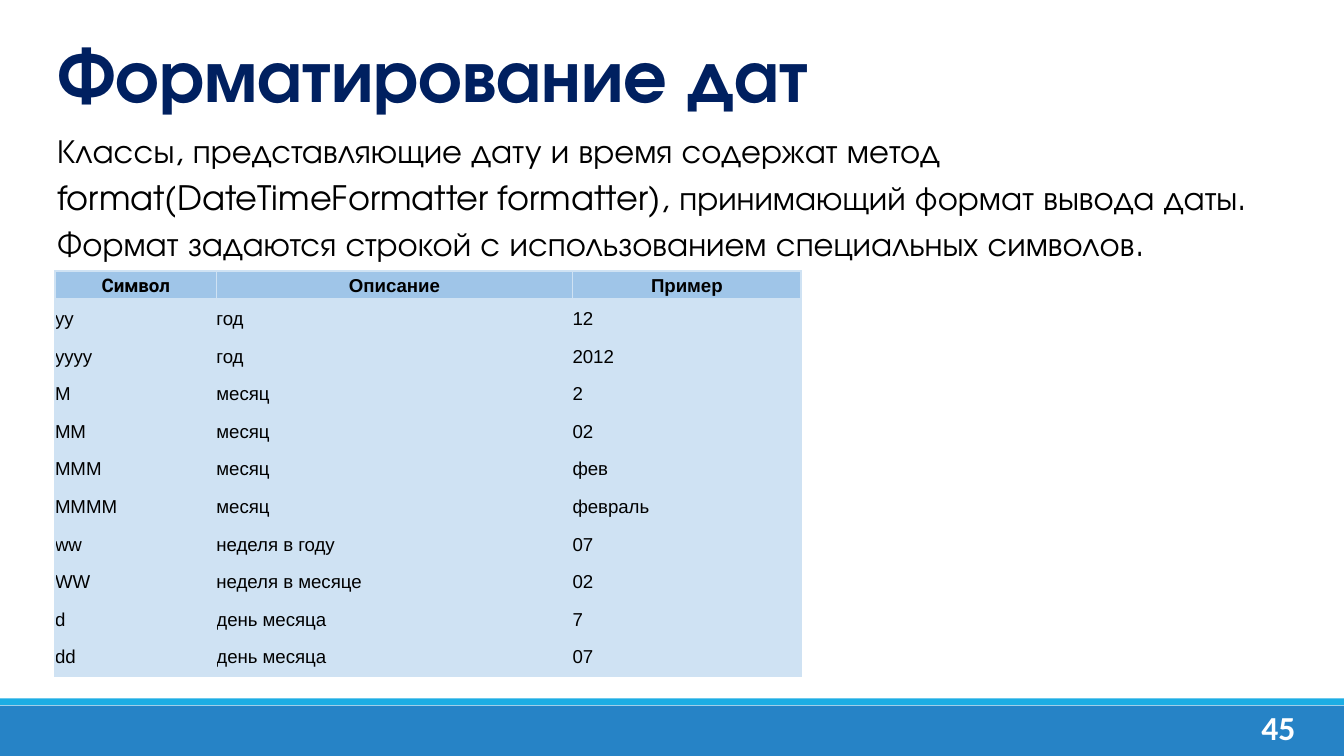
from dataclasses import dataclass

import lxml.etree
import pptx
import pptx.dml.color
import pptx.enum.shapes
import pptx.enum.text
import pptx.oxml.ns
import pptx.util
from pptx.util import Cm

COLORS = {
    "footer": "2683C6",
    "stripe": "1CADE4",
    "title": "002060",
    "text": "000000",
    "page_number": "FFFFFF",
    "header": "9FC5E8",
    "body": "CFE2F3",
}
LEFT = pptx.enum.text.PP_ALIGN.LEFT
CENTER = pptx.enum.text.PP_ALIGN.CENTER
TOP = pptx.enum.text.MSO_ANCHOR.TOP
MIDDLE = pptx.enum.text.MSO_ANCHOR.MIDDLE

COLUMN_WIDTHS = [3.05, 6.73, 4.32]
HEADER_HEIGHT, ROW_HEIGHT = 0.56, 0.71
HEADINGS = ("Символ", "Описание", "Пример")
FORMAT_SYMBOLS = [
    ("yy", "год", "12"),
    ("yyyy", "год", "2012"),
    ("M", "месяц", "2"),
    ("MM", "месяц", "02"),
    ("MMM", "месяц", "фев"),
    ("MMMM", "месяц", "февраль"),
    ("ww", "неделя в году", "07"),
    ("WW", "неделя в месяце", "02"),
    ("d", "день месяца", "7"),
    ("dd", "день месяца", "07"),
]


@dataclass
class Bar:
    top: float
    height: float
    color: str


@dataclass
class TextStyle:
    font: str
    size: float
    color: str = "text"
    bold: bool = False
    alignment: pptx.enum.text.PP_ALIGN = LEFT


@dataclass
class TextBlock:
    text: str
    left: float
    top: float
    width: float
    height: float
    style: TextStyle
    anchor: pptx.enum.text.MSO_ANCHOR = TOP
    vertical_inset: float = 0.13
    line_spacing: float = 1.0
    space_before: float = 0


BARS = [Bar(13.34, 0.95, "footer"), Bar(13.2, 0.13, "stripe")]
TEXT_BLOCKS = [
    TextBlock(
        "Классы, представляющие дату и время содержат метод "
        "format(DateTimeFormatter formatter), принимающий формат вывода даты. "
        "Формат задаются строкой с использованием специальных символов.",
        0.83, 2.1, 24.4, 3.05, TextStyle("TeX Gyre Adventor", 18),
        vertical_inset=0.25, line_spacing=1.15, space_before=7,
    ),
    TextBlock("45", 23.55, 13.23, 1.22, 0.76,
              TextStyle("Calibri", 18, "page_number", True, CENTER)),
    TextBlock("Форматирование дат", 0.83, 0.33, 22.86, 2.08,
              TextStyle("TeX Gyre Adventor", 40, "title", True), anchor=MIDDLE),
]


def rgb(name: str) -> pptx.dml.color.RGBColor:
    return pptx.dml.color.RGBColor.from_string(COLORS[name])


def format_paragraph(paragraph, style: TextStyle) -> None:
    paragraph.alignment = style.alignment
    for run in paragraph.runs:
        run.font.name = style.font
        run.font.size = pptx.util.Pt(style.size)
        run.font.bold = style.bold
        run.font.color.rgb = rgb(style.color)


def add_bar(slide, bar: Bar) -> None:
    shape = slide.shapes.add_shape(
        pptx.enum.shapes.MSO_SHAPE.RECTANGLE,
        Cm(0), Cm(bar.top), Cm(25.4), Cm(bar.height))
    shape.shadow.inherit = False
    shape.fill.solid()
    shape.fill.fore_color.rgb = rgb(bar.color)
    shape.line.fill.background()


def add_text(slide, block: TextBlock) -> None:
    shape = slide.shapes.add_textbox(
        Cm(block.left), Cm(block.top), Cm(block.width), Cm(block.height))
    text_frame = shape.text_frame
    text_frame.word_wrap = True
    text_frame.vertical_anchor = block.anchor
    text_frame.margin_left = text_frame.margin_right = Cm(0.25)
    text_frame.margin_top = text_frame.margin_bottom = Cm(block.vertical_inset)
    text_frame.text = block.text
    paragraph = text_frame.paragraphs[0]
    paragraph.line_spacing = block.line_spacing
    paragraph.space_before = pptx.util.Pt(block.space_before)
    format_paragraph(paragraph, block.style)


def set_borders(cell, widths: dict[str, float]) -> None:
    """Draw the cell's borders; widths maps side tags to points, in schema order."""
    properties = cell._tc.get_or_add_tcPr()
    for index, (side, width) in enumerate(widths.items()):
        line = lxml.etree.Element(
            pptx.oxml.ns.qn(f"a:{side}"), w=str(pptx.util.Pt(width)))
        fill = lxml.etree.SubElement(line, pptx.oxml.ns.qn("a:solidFill"))
        lxml.etree.SubElement(
            fill, pptx.oxml.ns.qn("a:srgbClr"), val=COLORS["body"])
        properties.insert(index, line)


def fill_cell(cell, text: str, style: TextStyle, color: str) -> None:
    cell.margin_left = cell.margin_right = Cm(0)
    cell.margin_top = cell.margin_bottom = Cm(0)
    cell.vertical_anchor = MIDDLE
    cell.fill.solid()
    cell.fill.fore_color.rgb = rgb(color)
    cell.text = text
    format_paragraph(cell.text_frame.paragraphs[0], style)


def add_symbol_table(slide) -> None:
    rows = [HEADINGS, *FORMAT_SYMBOLS]
    height = HEADER_HEIGHT + ROW_HEIGHT * len(FORMAT_SYMBOLS)
    table = slide.shapes.add_table(
        len(rows), len(HEADINGS), Cm(1.04), Cm(5.12),
        Cm(sum(COLUMN_WIDTHS)), Cm(height)).table
    for column, width in zip(table.columns, COLUMN_WIDTHS):
        column.width = Cm(width)
    for row_index, values in enumerate(rows):
        is_header = row_index == 0
        table.rows[row_index].height = Cm(HEADER_HEIGHT if is_header else ROW_HEIGHT)
        for column_index, value in enumerate(values):
            cell = table.cell(row_index, column_index)
            font = "Roboto" if is_header and column_index == 0 else "Arial"
            style = TextStyle(font, 10, bold=is_header,
                              alignment=CENTER if is_header else LEFT)
            fill_cell(cell, value, style, "header" if is_header else "body")
            set_borders(cell, {
                "lnL": 1,
                "lnR": 1,
                "lnT": 3 if row_index == 1 else 1,
                "lnB": 3 if is_header else 1,
            })


def main() -> None:
    presentation = pptx.Presentation()
    presentation.slide_width = Cm(25.4)
    presentation.slide_height = Cm(14.29)
    slide = presentation.slides.add_slide(presentation.slide_layouts[6])
    for bar in BARS:
        add_bar(slide, bar)
    for block in TEXT_BLOCKS:
        add_text(slide, block)
    add_symbol_table(slide)
    presentation.save("out.pptx")


if __name__ == "__main__":
    main()
